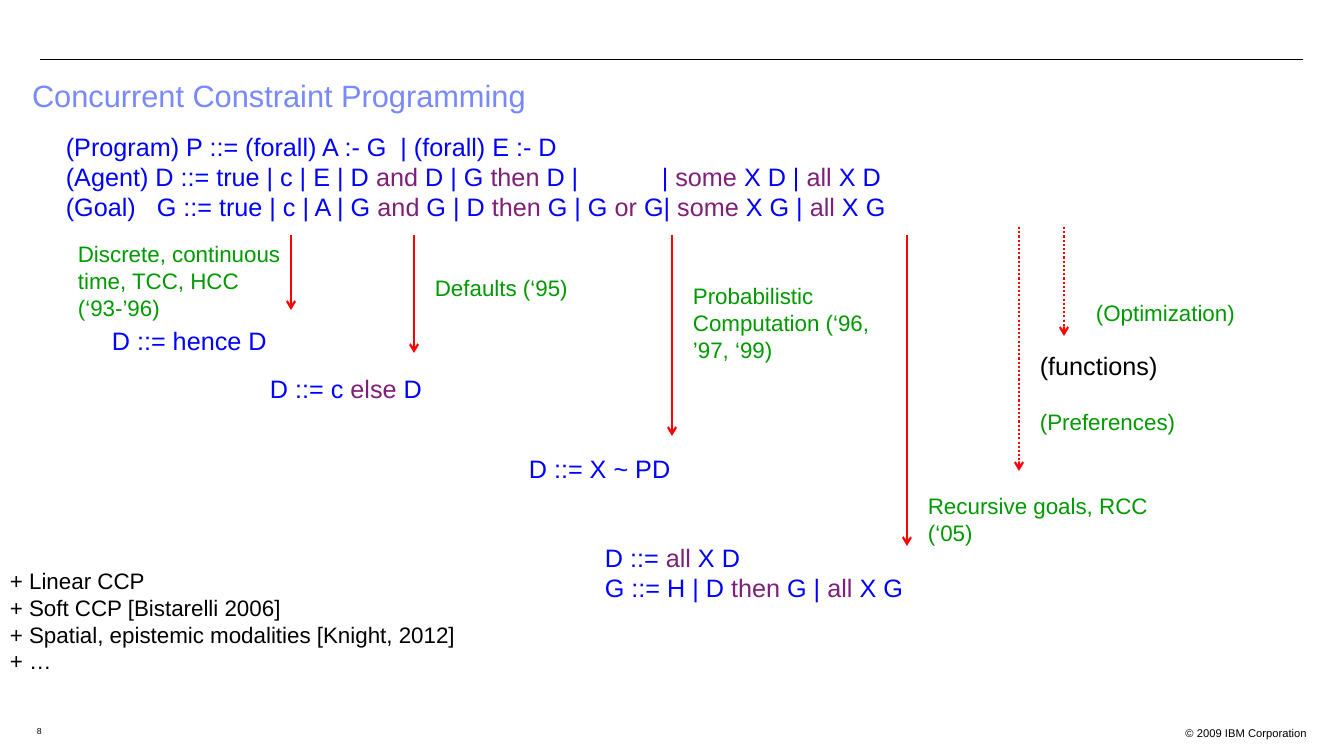
from lxml.etree import SubElement
from pptx import Presentation
from pptx.dml.color import RGBColor
from pptx.enum.dml import MSO_LINE
from pptx.enum.shapes import MSO_CONNECTOR
from pptx.enum.text import MSO_ANCHOR, MSO_AUTO_SIZE, PP_ALIGN
from pptx.oxml.ns import qn
from pptx.util import Emu, Pt

WIDTH, HEIGHT = 1344, 756
SCALE = 12192000 / WIDTH
BLACK, BLUE, GREEN = "000000", "0000FF", "009900"
KEYWORD, RED, TITLE = "801E79", "FF0000", "7889FB"

GRAMMAR = [
    "(Program) P ::= (forall) A :- G  | (forall) E :- D",
    "(Agent) D ::= true | c | E | D *and* D | G *then* D |\t| *some* X D | *all* X D",
    "(Goal)\tG ::= true | c | A | G *and* G | D *then* G | G *or* G| *some* X G | *all* X G",
]
NOTES = [
    "+ Linear CCP",
    "+ Soft CCP [Bistarelli 2006]",
    "+ Spatial, epistemic modalities [Knight, 2012]",
    "+ …",
]
EXTENSIONS = [
    dict(arrow=(291, 235, 75),
         label=("Discrete, continuous time, TCC, HCC (‘93-’96)", -223, 0, 238, 91),
         rule=(["D ::= hence D"], -189, 10, 188, 40)),
    dict(arrow=(414, 235, 118),
         label=("Defaults (‘95)", 11, 34, 213, 37),
         rule=(["D ::= c *else* D"], -154, 15, 183, 40)),
    dict(arrow=(672, 235, 201),
         label=("Probabilistic Computation (‘96, ’97, ‘99)", 11, 42, 213, 91),
         rule=(["D ::= X ~ PD"], -153, 12, 179, 40)),
    dict(arrow=(907, 235, 311),
         label=("Recursive goals, RCC (‘05)", 11, 252, 248, 64),
         rule=(["D ::= *all* X D", "G ::= H | D *then* G | *all* X G"], -312, -9, 352, 71)),
    dict(arrow=(1064, 227, 109), dotted=True, rule_color=BLACK,
         label=("(Optimization)", 22, 67, 213, 37),
         rule=(["(functions)"], -34, 9, 269, 40)),
    dict(arrow=(1019, 227, 244), dotted=True,
         label=("(Preferences)", 11, 176, 213, 37)),
]


def px(length):
    """Turn a length in px into EMU."""
    return Emu(round(length * SCALE))


def rgb(color):
    """Turn a hex string into a colour."""
    return RGBColor.from_string(color)


def write_text(shape, lines, size=18, color=BLACK, align=PP_ALIGN.LEFT, spacing=None, tabs=()):
    """Fill a shape with lines, colouring the words between asterisks as keywords."""
    frame = shape.text_frame
    frame.word_wrap = True
    frame.auto_size = MSO_AUTO_SIZE.NONE
    frame.vertical_anchor = MSO_ANCHOR.TOP
    for index, line in enumerate(lines):
        paragraph = frame.add_paragraph() if index else frame.paragraphs[0]
        paragraph.alignment = align
        paragraph.line_spacing = spacing
        if tabs:
            stops = SubElement(paragraph._p.get_or_add_pPr(), qn("a:tabLst"))
            for stop in tabs:
                SubElement(stops, qn("a:tab"), pos=str(px(stop)), algn="l")
        for part, words in enumerate(line.split("*")):
            if words:
                run = paragraph.add_run()
                run.text = words
                run.font.name = "Arial"
                run.font.size = Pt(size)
                run.font.color.rgb = rgb(KEYWORD if part % 2 else color)


def add_text(slide, box, lines, **text_format):
    """Add a text box of formatted lines."""
    shape = slide.shapes.add_textbox(*map(px, box))
    write_text(shape, lines, **text_format)


def add_line(slide, start, end, color, weight, dotted=False, arrow=False):
    """Add a straight line, optionally dotted or with an arrowhead."""
    line = slide.shapes.add_connector(MSO_CONNECTOR.STRAIGHT, *map(px, start + end))
    line.line.color.rgb = rgb(color)
    line.line.width = Pt(weight)
    if dotted:
        line.line.dash_style = MSO_LINE.ROUND_DOT
    if arrow:
        SubElement(line.line._get_or_add_ln(), qn("a:tailEnd"), type="arrow")
    SubElement(line._element.spPr, qn("a:effectLst"))


def add_header(slide, box):
    """Place the top rule and the title below it."""
    left, top, width, height = box
    add_line(slide, (left + 18, top), (left + width, top), BLACK, 0.75)
    title = slide.shapes.title
    title.left, title.top = px(left), px(top + 16)
    title.width, title.height = px(width), px(height - 16)
    write_text(title, ["Concurrent Constraint Programming"], size=22, color=TITLE, spacing=0.9)


def add_extension(slide, arrow, label, rule=None, rule_color=BLUE, dotted=False):
    """Place an arrow with its label beside it and its rule at the tip."""
    left, top, length = arrow
    tip = top + length
    add_line(slide, (left, top), (left, tip), RED, 1.5, dotted, arrow=True)
    text, right, down, width, height = label
    add_text(slide, (left + right, top + down, width, height), [text], size=16, color=GREEN)
    if rule:
        lines, right, down, width, height = rule
        add_text(slide, (left + right, tip + down, width, height), lines, color=rule_color)


def add_footer(slide, box):
    """Place the page number and the copyright line."""
    left, top, width, height = box
    add_text(slide, (left, top, 53, height), ["8"], size=6.2)
    add_text(slide, (left + width - 202, top, 202, height), ["© 2009 IBM Corporation"],
             size=8, align=PP_ALIGN.RIGHT)


def main():
    """Build the slide and save it."""
    presentation = Presentation()
    presentation.slide_width, presentation.slide_height = px(WIDTH), px(HEIGHT)
    slide = presentation.slides.add_slide(presentation.slide_layouts[5])
    add_header(slide, (22, 60, 1281, 87))
    add_text(slide, (56, 126, 1265, 101), GRAMMAR, color=BLUE, tabs=(91, 596))
    for extension in EXTENSIONS:
        add_extension(slide, **extension)
    add_text(slide, (0, 562, 772, 118), NOTES, size=16)
    add_footer(slide, (27, 721, 1290, 20))
    presentation.save("out.pptx")


if __name__ == "__main__":
    main()
